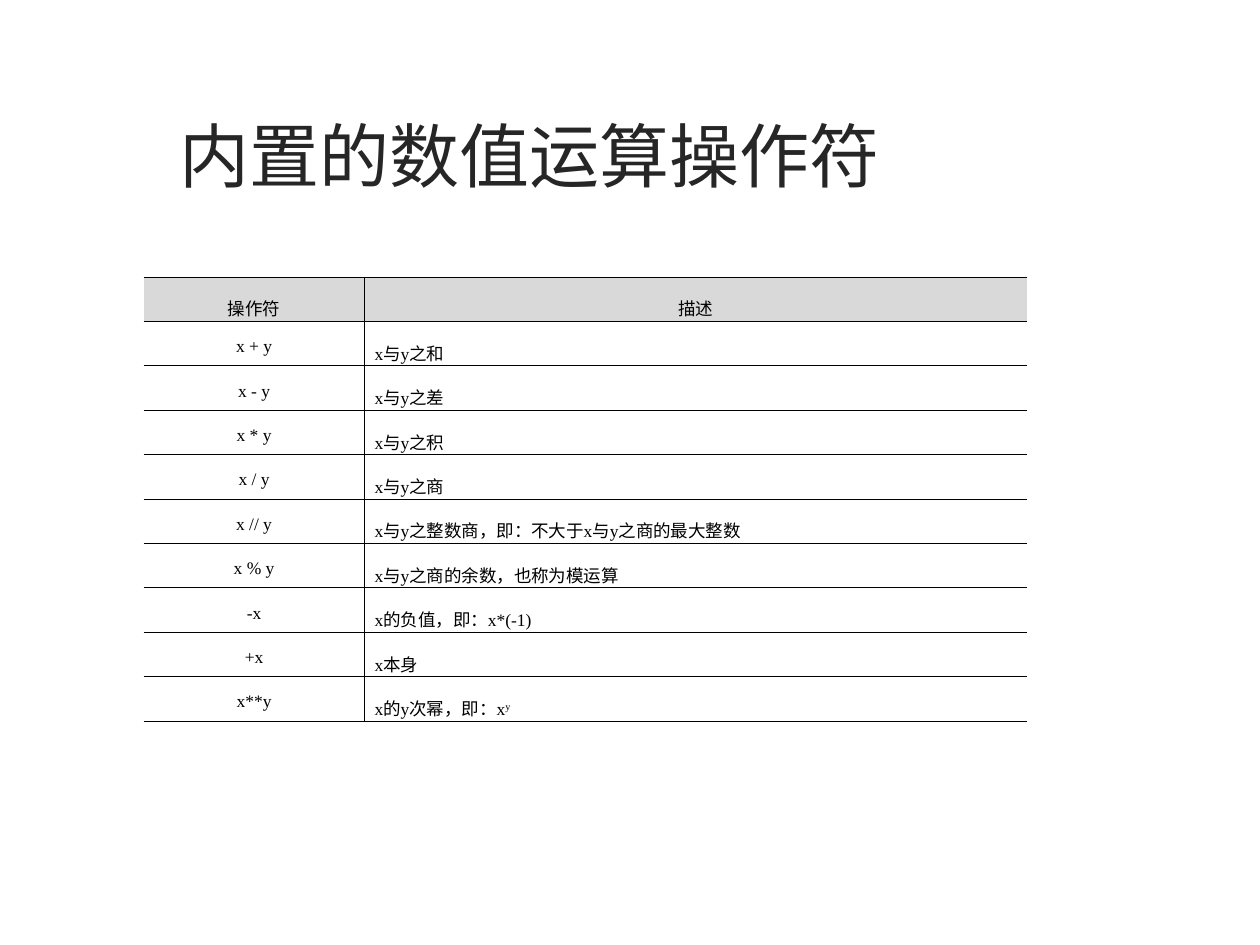
import pptx
import pptx.dml.color
import pptx.enum.text
import pptx.oxml
import pptx.oxml.ns
import pptx.util

WIDE, HIGH = pptx.util.Inches(10), pptx.util.Inches(7.5)
ALIGN = pptx.enum.text.PP_ALIGN
NS = pptx.oxml.ns.nsdecls("a")
SANS, SERIF = "Noto Sans CJK SC", "Times New Roman"
INK, DARK, GREY, WHITE = "000000", "262626", "D9D9D9", "FFFFFF"

ROWS = [
    ("操作符", "描述"),
    ("x + y", "x与y之和"),
    ("x - y", "x与y之差"),
    ("x * y", "x与y之积"),
    ("x / y", "x与y之商"),
    ("x // y", "x与y之整数商，即：不大于x与y之商的最大整数"),
    ("x % y", "x与y之商的余数，也称为模运算"),
    ("-x", "x的负值，即：x*(-1)"),
    ("+x", "x本身"),
    ("x**y", "x的y次幂，即：x"),
]


def color(code):
    return pptx.dml.color.RGBColor.from_string(code)


def style(font, name, size, code):
    font.name, font.size = name, pptx.util.Pt(size)
    font.color.rgb = color(code)


def add_title(slide, text):
    box = slide.shapes.add_textbox(
        int(WIDE * 0.133), int(HIGH * 0.112), int(WIDE * 0.575), int(HIGH * 0.192))
    frame = box.text_frame
    frame.word_wrap = False
    run = frame.paragraphs[0].add_run()
    run.text = text
    style(run.font, SANS, 40, DARK)
    props = run._r.get_or_add_rPr()
    shade = pptx.oxml.parse_xml(
        f'<a:effectLst {NS}><a:outerShdw dist="38100" dir="2700000">'
        '<a:srgbClr val="C0C0C0"><a:alpha val="40000"/></a:srgbClr>'
        '</a:outerShdw></a:effectLst>')
    props.insert(1, shade)
    props.append(pptx.oxml.parse_xml(f'<a:ea {NS} typeface="{SANS}"/>'))


def rule(cell, sides):
    """Draw thin lines on the given sides and clear the others."""
    props = cell._tc.get_or_add_tcPr()
    for spot, side in enumerate("LRTB"):
        paint = (f'<a:solidFill><a:srgbClr val="{INK}"/></a:solidFill>'
                 if side in sides else "<a:noFill/>")
        line = f'<a:ln{side} {NS} w="5715">{paint}</a:ln{side}>'
        props.insert(spot, pptx.oxml.parse_xml(line))


def fill_cell(cell, text, fill, align, sides):
    cell.fill.solid()
    cell.fill.fore_color.rgb = color(fill)
    cell.margin_left = cell.margin_right = pptx.util.Inches(0.08)
    cell.margin_top, cell.margin_bottom = pptx.util.Inches(0.05), 0
    para = cell.text_frame.paragraphs[0]
    para.add_run().text = text
    para.alignment, para.line_spacing = align, 1.5
    style(para.font, SERIF, 10, INK)
    rule(cell, sides)


def add_grid(slide, rows):
    frame = slide.shapes.add_table(
        len(rows), 2, int(WIDE * 0.114), int(HIGH * 0.293),
        int(WIDE * 0.701), int(HIGH * 0.047) * len(rows))
    table = frame.table
    for col, share in zip(table.columns, (0.25, 0.75)):
        col.width = int(WIDE * 0.701 * share)
    for r, row in enumerate(rows):
        for c, text in enumerate(row):
            fill = WHITE if r else GREY
            align = ALIGN.LEFT if r and c else ALIGN.CENTER
            fill_cell(table.cell(r, c), text, fill, align, "LTB" if c else "RTB")
    return table


def add_power(cell, text):
    """Append a raised exponent to the cell's text."""
    run = cell.text_frame.paragraphs[0].add_run()
    run.text = text
    run._r.get_or_add_rPr().set("baseline", "30000")


def main():
    deck = pptx.Presentation()
    deck.slide_width, deck.slide_height = WIDE, HIGH
    slide = deck.slides.add_slide(deck.slide_layouts[6])
    add_title(slide, "内置的数值运算操作符")
    table = add_grid(slide, ROWS)
    add_power(table.cell(len(ROWS) - 1, 1), "y")
    deck.save("out.pptx")


if __name__ == "__main__":
    main()
